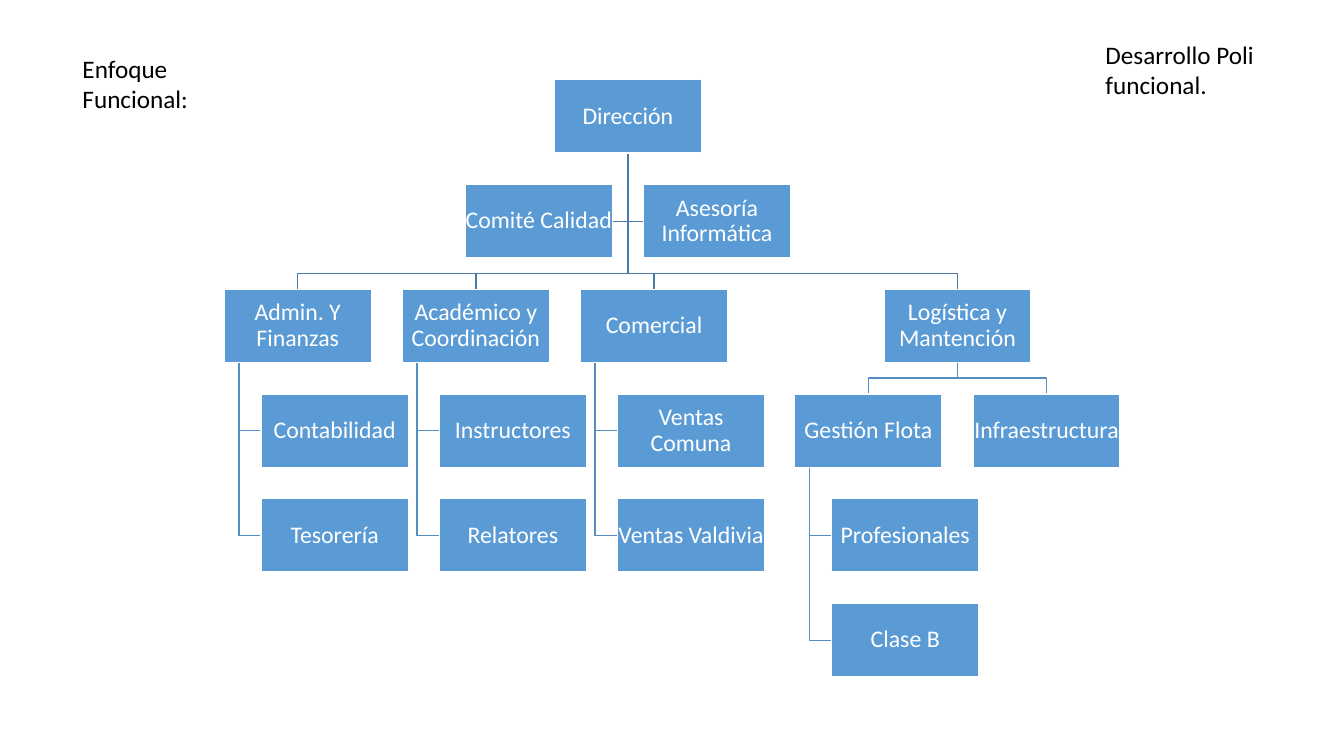
import pptx
import pptx.util
import pptx.dml.color
import pptx.enum.shapes
import pptx.enum.text

Cm = pptx.util.Cm
Pt = pptx.util.Pt

BOX_WIDTH, BOX_HEIGHT = 3.71, 1.85
FIRST_TOP, ROW_PITCH, COLUMN_PITCH = 2.01, 2.64, 4.49
TRUNK_INSET, CHILD_INDENT = 0.37, 0.93
BUS_GAP = 0.4


def colour(code):
    return pptx.dml.color.RGBColor.from_string(code)


def row_top(row):
    return FIRST_TOP + row * ROW_PITCH


def row_middle(row):
    return row_top(row) + BOX_HEIGHT / 2


def row_bottom(row):
    return row_top(row) + BOX_HEIGHT


def centre(left):
    return left + BOX_WIDTH / 2


class OrgChart:
    font = "Calibri"
    box_fill = "5B9BD5"
    box_line = "FFFFFF"
    upper_link = "497CAB"
    lower_link = "538DC1"

    def __init__(self, slide):
        self.slide = slide

    def label(self, shape, wording, size, code):
        frame = shape.text_frame
        frame.word_wrap = True
        frame.text = wording
        font = frame.paragraphs[0].runs[0].font
        font.name = self.font
        font.size = Pt(size)
        font.color.rgb = colour(code)
        return frame

    def heading(self, wording, left, top, width, height):
        area = self.slide.shapes.add_textbox(Cm(left), Cm(top), Cm(width), Cm(height))
        self.label(area, wording, 18, "000000")

    def box(self, wording, left, row):
        unit = self.slide.shapes.add_shape(
            pptx.enum.shapes.MSO_SHAPE.RECTANGLE,
            Cm(left), Cm(row_top(row)), Cm(BOX_WIDTH), Cm(BOX_HEIGHT))
        unit.shadow.inherit = False
        unit.fill.solid()
        unit.fill.fore_color.rgb = colour(self.box_fill)
        unit.line.color.rgb = colour(self.box_line)
        unit.line.width = Pt(1)
        frame = self.label(unit, wording, 17, "FFFFFF")
        frame.margin_left = frame.margin_right = 0
        frame.margin_top = frame.margin_bottom = 0
        frame.vertical_anchor = pptx.enum.text.MSO_ANCHOR.MIDDLE
        frame.paragraphs[0].alignment = pptx.enum.text.PP_ALIGN.CENTER
        frame.paragraphs[0].line_spacing = 0.9

    def link(self, points, code):
        corners = [(Cm(x), Cm(y)) for x, y in points]
        builder = self.slide.shapes.build_freeform(*corners[0], scale=1.0)
        builder.add_line_segments(corners[1:], close=False)
        branch = builder.convert_to_shape()
        branch.shadow.inherit = False
        branch.fill.background()
        branch.line.color.rgb = colour(code)
        branch.line.width = Pt(1)

    def fork(self, parent_left, parent_row, child_left, child_row, code):
        bus = row_top(child_row) - BUS_GAP
        start, end = centre(parent_left), centre(child_left)
        self.link([(start, row_bottom(parent_row)), (start, bus),
                   (end, bus), (end, row_top(child_row))], code)

    def hang(self, parent_left, parent_row, child_row):
        trunk = parent_left + TRUNK_INSET
        self.link([(trunk, row_bottom(parent_row)), (trunk, row_middle(child_row)),
                   (parent_left + CHILD_INDENT, row_middle(child_row))], self.lower_link)

    def assist(self, manager_left, adviser_edge):
        stem = centre(manager_left)
        self.link([(stem, row_bottom(0)), (stem, row_middle(1)),
                   (adviser_edge, row_middle(1))], self.upper_link)


def main():
    deck = pptx.Presentation()
    deck.slide_width, deck.slide_height = Cm(33.87), Cm(19.05)
    chart = OrgChart(deck.slides.add_slide(deck.slide_layouts[6]))

    admin, fleet = 5.65, 20.03
    direction = 13.97
    logistics = fleet + COLUMN_PITCH / 2
    infrastructure = fleet + COLUMN_PITCH
    committee = direction - COLUMN_PITCH / 2
    advice = direction + COLUMN_PITCH / 2
    areas = [
        ("Admin. Y Finanzas", ["Contabilidad", "Tesorería"]),
        ("Académico y Coordinación", ["Instructores", "Relatores"]),
        ("Comercial", ["Ventas Comuna", "Ventas Valdivia"]),
    ]
    teams = [(name, admin + i * COLUMN_PITCH, 2, members)
             for i, (name, members) in enumerate(areas)]
    teams.append(("Gestión Flota", fleet, 3, ["Profesionales", "Clase B"]))

    chart.assist(direction, advice)
    chart.assist(direction, committee + BOX_WIDTH)
    for left in [team[1] for team in teams[:3]] + [logistics]:
        chart.fork(direction, 0, left, 2, chart.upper_link)
    for left in (fleet, infrastructure):
        chart.fork(logistics, 2, left, 3, chart.lower_link)
    for name, left, row, members in teams:
        for child_row in range(row + 1, row + 1 + len(members)):
            chart.hang(left, row, child_row)

    chart.box("Dirección", direction, 0)
    chart.box("Comité Calidad", committee, 1)
    chart.box("Asesoría Informática", advice, 1)
    chart.box("Logística y Mantención", logistics, 2)
    chart.box("Infraestructura", infrastructure, 3)
    for name, left, row, members in teams:
        chart.box(name, left, row)
        for child_row, member in enumerate(members, row + 1):
            chart.box(member, left + CHILD_INDENT, child_row)

    chart.heading("Enfoque Funcional:", 1.83, 1.22, 4.01, 1.8)
    chart.heading("Desarrollo Poli funcional.", 27.61, 0.86, 4.8, 1.8)
    deck.save("out.pptx")


if __name__ == "__main__":
    main()
